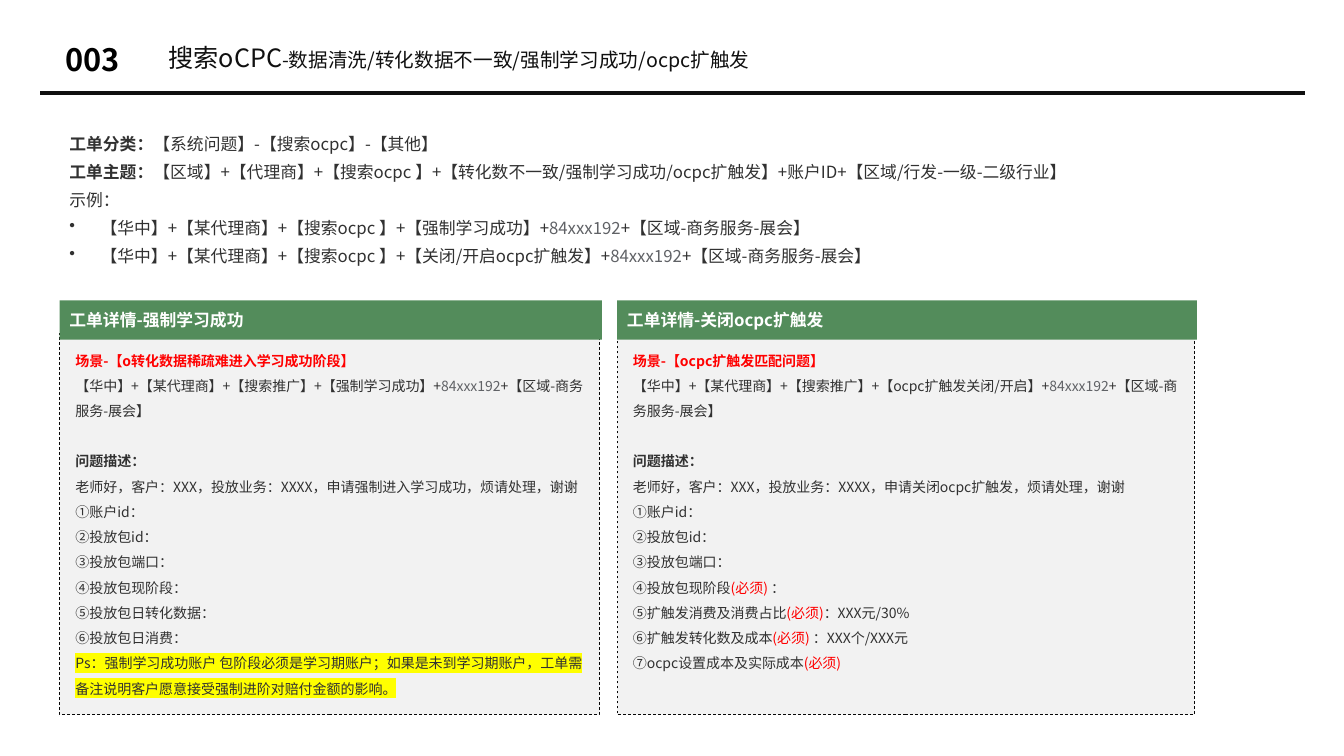
from lxml import etree
from pptx import Presentation
from pptx.dml.color import RGBColor
from pptx.enum.dml import MSO_LINE
from pptx.enum.shapes import MSO_CONNECTOR, MSO_SHAPE
from pptx.enum.text import MSO_ANCHOR, PP_ALIGN
from pptx.oxml.ns import qn
from pptx.util import Inches, Pt

RECT = MSO_SHAPE.RECTANGLE
LINE = MSO_CONNECTOR.STRAIGHT
DASH = MSO_LINE.DASH
TOP, MIDDLE = MSO_ANCHOR.TOP, MSO_ANCHOR.MIDDLE
LEFT = PP_ALIGN.LEFT

THEME = {
    "font": "Noto Sans CJK SC",
    "ink": "313131", "title": "101010", "black": "000000", "white": "FFFFFF",
    "gray": "606266", "red": "FF0000", "mark": "FFFF00",
    "green": "538C5B", "panel": "F2F2F2", "edge": "070707",
    "number": 22, "head": 18, "sub": 14, "lead": 12, "body": 10,
}


def color(name):
    return RGBColor.from_string(THEME[name])


def write(shape, paras, size, spacing, anchor=TOP, inset=None):
    frame = shape.text_frame
    form = {"word_wrap": True, "vertical_anchor": anchor}
    if inset is not None:
        for side in ("left", "top", "right", "bottom"):
            form["margin_" + side] = Inches(inset)
    for key, value in form.items():
        setattr(frame, key, value)
    for i, (runs, kind) in enumerate(paras):
        para = frame.add_paragraph() if i else frame.paragraphs[0]
        para.alignment = LEFT
        para.line_spacing = spacing
        if kind == "gap":
            para.space_before = Pt(18)
        if kind == "bullet":
            props = para._p.get_or_add_pPr()
            props.set("marL", str(Inches(0.31)))
            props.set("indent", str(Inches(-0.31)))
            etree.SubElement(props, qn("a:buChar")).set("char", "•")
        for text, *style in runs:
            run = para.add_run()
            run.text = text
            tone = next((s for s in style if s in THEME and s not in ("mark", "sub")), "ink")
            look = {"size": Pt(THEME["sub" if "sub" in style else size]),
                    "bold": "bold" in style, "name": THEME["font"]}
            for key, value in look.items():
                setattr(run.font, key, value)
            run.font.color.rgb = color(tone)
            props = run._r.get_or_add_rPr()
            etree.SubElement(props, qn("a:ea")).set("typeface", THEME["font"])
            if "mark" in style:
                mark = etree.Element(qn("a:highlight"))
                etree.SubElement(mark, qn("a:srgbClr")).set("val", THEME["mark"])
                props.find(qn("a:solidFill")).addnext(mark)


deck = Presentation()
deck.slide_width, deck.slide_height = Inches(13.33), Inches(7.5)
slide = deck.slides.add_slide(deck.slide_layouts[6])
shapes = slide.shapes

rule = shapes.add_connector(LINE, Inches(0.4), Inches(0.92), Inches(12.94), Inches(0.92))
rule.line.color.rgb = color("title")
rule.line.width = Pt(3)
etree.SubElement(rule._element.spPr, qn("a:effectLst"))

title = [([("搜索oCPC", "title"),
           ("-数据清洗/转化数据不一致/强制学习成功/ocpc扩触发", "title", "sub")], "")]
write(shapes.add_textbox(Inches(1.67), Inches(0.45), Inches(8.96), Inches(0.27)),
      title, "head", 0.9, MIDDLE, 0)
write(shapes.add_textbox(Inches(0.65), Inches(0.4), Inches(0.67), Inches(0.37)),
      [([("003", "black", "bold")], "")], "number", 1.0, MIDDLE, 0)

account = ("84xxx192", "gray")
trade = ("+【区域-商务服务-展会】",)
intro = [
    ([("工单分类：", "bold"), ("【系统问题】-【搜索ocpc】-【其他】",)], ""),
    ([("工单主题：", "bold"),
      ("【区域】+【代理商】+【搜索ocpc 】+【转化数不一致/强制学习成功/ocpc扩触发】"
       "+账户ID+【区域/行发-一级-二级行业】",)], ""),
    ([("示例：",)], ""),
]
for topic in ("强制学习成功", "关闭/开启ocpc扩触发"):
    lead = (f"【华中】+【某代理商】+【搜索ocpc 】+【{topic}】+",)
    intro.append(([lead, account, trade], "bullet"))
write(shapes.add_textbox(Inches(0.59), Inches(1.2), Inches(12.14), Inches(1.75)),
      intro, "lead", Pt(20))

must, must_gap = ("(必须)", "red"), ("(必须) ", "red")
cards = [
    (0.59, 5.36, 5.35, "强制学习成功", "o转化数据稀疏难进入学习成功阶段",
     "强制学习成功", "强制进入学习成功", [
         [("④投放包现阶段：",)],
         [("⑤投放包日转化数据：",)],
         [("⑥投放包日消费：",)],
         [("Ps：强制学习成功账户 包阶段必须是学习期账户；如果是未到学习期账户，工单需", "mark")],
         [("备注说明客户愿意接受强制进阶对赔付金额的影响。", "mark")],
     ]),
    (6.12, 5.73, 5.73, "关闭ocpc扩触发", "ocpc扩触发匹配问题",
     "ocpc扩触发关闭/开启", "关闭ocpc扩触发", [
         [("④投放包现阶段",), must_gap, ("：",)],
         [("⑤扩触发消费及消费占比",), must, ("：XXX元/30%",)],
         [("⑥扩触发转化数及成本",), must_gap, ("：XXX个/XXX元",)],
         [("⑦ocpc设置成本及实际成本",), must],
     ]),
]
for left, width, span, name, scene, topic, wish, rest in cards:
    group = shapes.add_group_shape().shapes
    panel = group.add_shape(RECT, Inches(left), Inches(3.31), Inches(width), Inches(3.78))
    panel.fill.solid()
    panel.fill.fore_color.rgb = color("panel")
    panel.line.color.rgb = color("edge")
    panel.line.width = Pt(0.5)
    panel.line.dash_style = DASH
    panel.shadow.inherit = False

    paras = [
        ([(f"场景-【{scene}】", "red", "bold")], ""),
        ([(f"【华中】+【某代理商】+【搜索推广】+【{topic}】+",), account, trade], ""),
        ([("问题描述：", "bold")], "gap"),
        ([(f"老师好，客户：XXX，投放业务：XXXX，申请{wish}，烦请处理，谢谢",)], ""),
    ]
    items = [[(text,)] for text in ("①账户id：", "②投放包id：", "③投放包端口：")]
    paras += [(runs, "") for runs in items + rest]
    box = group.add_textbox(Inches(left + 0.06), Inches(3.36), Inches(span), Inches(3.64))
    write(box, paras, "body", 1.5)

    band = group.add_shape(RECT, Inches(left), Inches(2.98), Inches(width + 0.02), Inches(0.39))
    band.fill.solid()
    band.fill.fore_color.rgb = color("green")
    band.line.fill.background()
    band.shadow.inherit = False
    write(band, [([(f"工单详情-{name}", "white", "bold")], "")], "lead", 1.0, MIDDLE)

deck.save("out.pptx")
